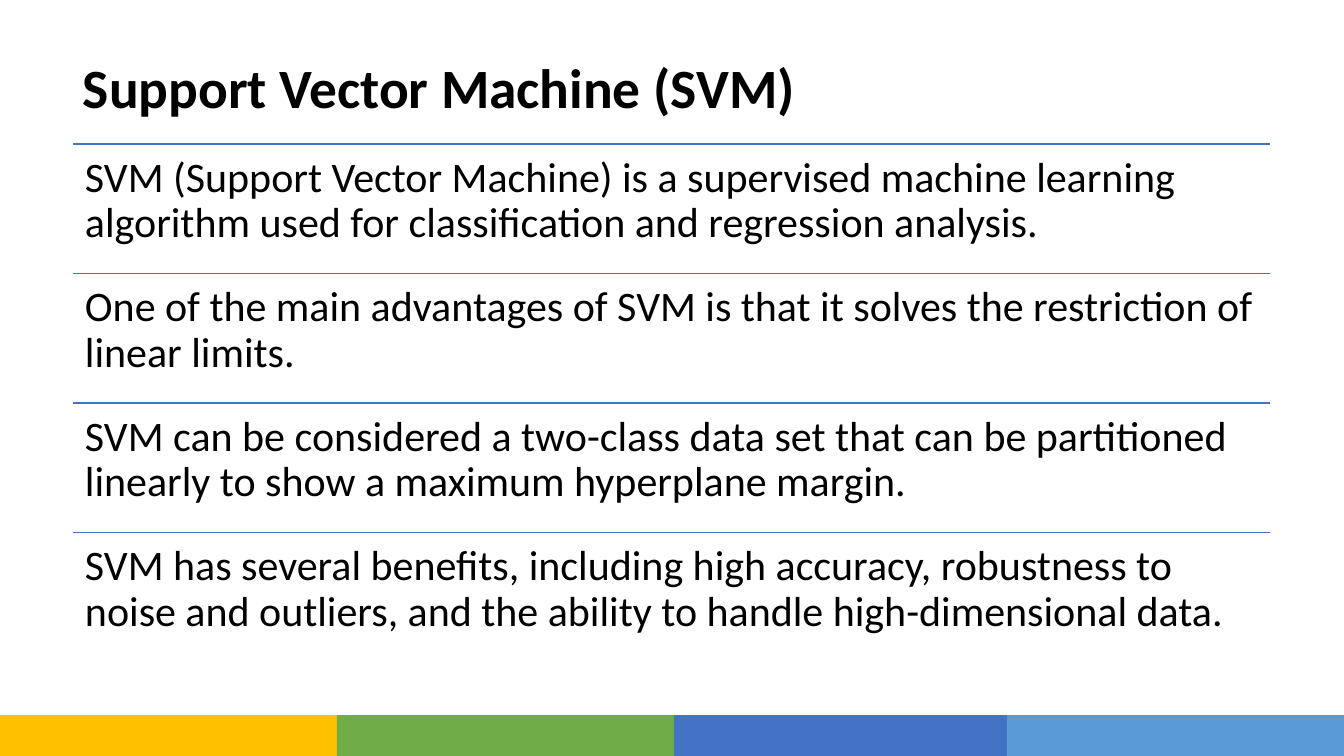
from lxml import etree
from pptx import Presentation
from pptx.dml.color import RGBColor
from pptx.enum.shapes import MSO_CONNECTOR, MSO_SHAPE
from pptx.enum.text import MSO_ANCHOR
from pptx.oxml.ns import qn
from pptx.util import Pt

RECTANGLE = MSO_SHAPE.RECTANGLE
STRAIGHT = MSO_CONNECTOR.STRAIGHT
TOP, MIDDLE = MSO_ANCHOR.TOP, MSO_ANCHOR.MIDDLE

EMU_PER_PX = 914400 / 100.8
PAGE_WIDTH, PAGE_HEIGHT = 1344, 756
FONT = "Calibri"
BLACK, BLUE = "000000", "4472C4"
BAND_COLORS = ["FFC000", "70AD47", BLUE, "5B9BD5"]
TITLE = "Support Vector Machine (SVM)"
STATEMENTS = [
    "SVM (Support Vector Machine) is a supervised machine learning algorithm "
    "used for classification and regression analysis.",
    "One of the main advantages of SVM is that it solves the restriction of linear limits.",
    "SVM can be considered a two-class data set that can be partitioned "
    "linearly to show a maximum hyperplane margin.",
    "SVM has several benefits, including high accuracy, robustness to noise "
    "and outliers, and the ability to handle high-dimensional data.",
]


def px(length):
    """Turn a length in px into EMU."""
    return round(length * EMU_PER_PX)


def color(value):
    """Turn a hex string into a colour."""
    return RGBColor.from_string(value)


def add_text(page, box, text, size, bold, anchor, insets):
    """Write one paragraph in a wrapping text box."""
    frame = page.shapes.add_textbox(*map(px, box)).text_frame
    frame.word_wrap = True
    frame.vertical_anchor = anchor
    frame.margin_left = frame.margin_right = px(insets[0])
    frame.margin_top = frame.margin_bottom = px(insets[1])
    para = frame.paragraphs[0]
    para.line_spacing = 0.9
    span = para.add_run()
    span.text = text
    span.font.name = FONT
    span.font.size = Pt(size)
    span.font.bold = bold
    span.font.color.rgb = color(BLACK)


def add_rule(page, left, top, width):
    """Draw a thin horizontal line."""
    rule = page.shapes.add_connector(
        STRAIGHT, px(left), px(top), px(left + width), px(top))
    rule.line.color.rgb = color(BLUE)
    rule.line.width = Pt(1)
    etree.SubElement(rule._element.spPr, qn("a:effectLst"))


def add_footer_band(page, box):
    """Fill the box with a row of coloured blocks."""
    left, top, width, height = box
    block_width = width // len(BAND_COLORS) + 1
    for index, fill in enumerate(BAND_COLORS):
        offset = min(index * block_width, width - block_width)
        block = page.shapes.add_shape(
            RECTANGLE, px(left + offset), px(top), px(block_width), px(height))
        block.shadow.inherit = False
        block.fill.solid()
        block.fill.fore_color.rgb = color(fill)
        block.line.fill.background()


def add_statements(page, box):
    """Stack the statements in equal rows, each under a line."""
    left, top, width, height = box
    row_height = height / len(STATEMENTS)
    for index, statement in enumerate(STATEMENTS):
        row_top = top + index * row_height
        add_rule(page, left, row_top, width)
        add_text(page, (left, row_top, width, row_height), statement,
                 30, False, TOP, (12, 12))


def main():
    """Build the slide and save it."""
    deck = Presentation()
    deck.slide_width, deck.slide_height = px(PAGE_WIDTH), px(PAGE_HEIGHT)
    page = deck.slides.add_slide(deck.slide_layouts[6])
    add_footer_band(page, (0, 715, PAGE_WIDTH, 41))
    add_text(page, (73, 37, 764, 107), TITLE, 39.6, True, MIDDLE, (10, 5))
    add_statements(page, (73, 144, 1197, 518))
    deck.save("out.pptx")


if __name__ == "__main__":
    main()
